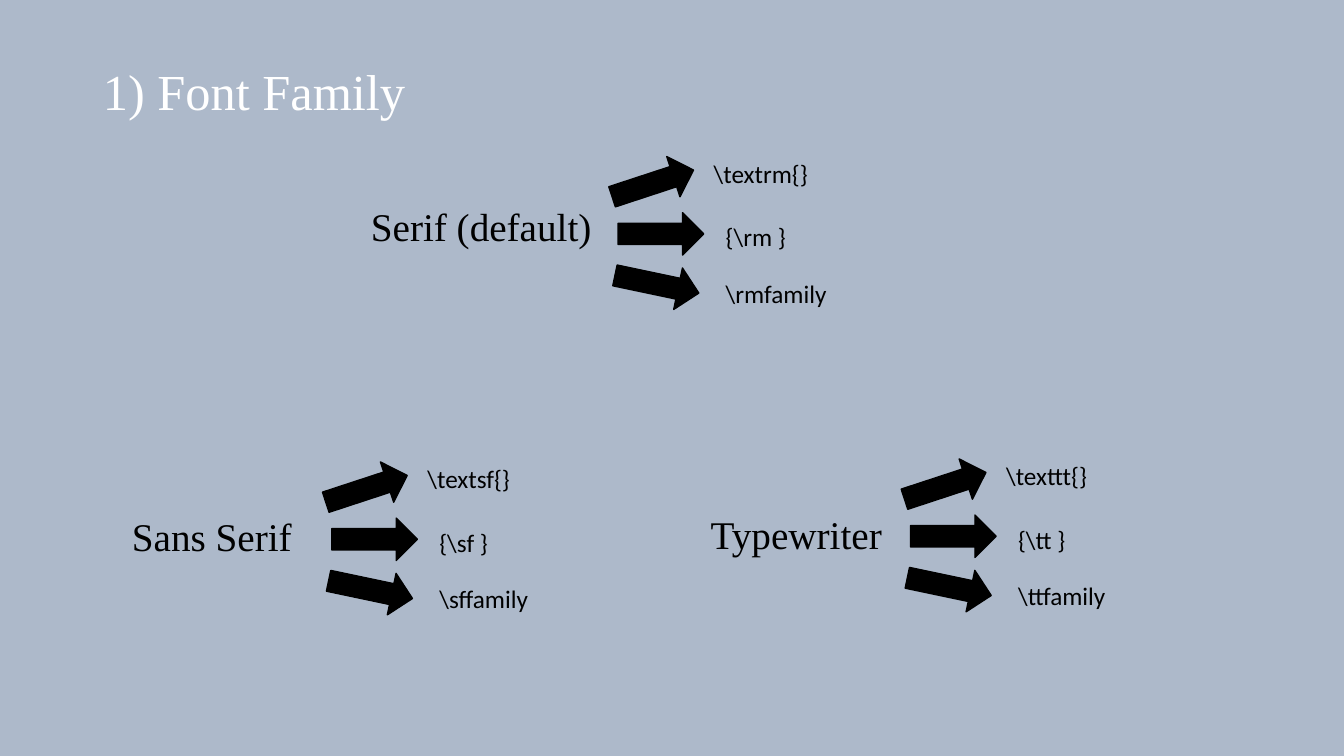
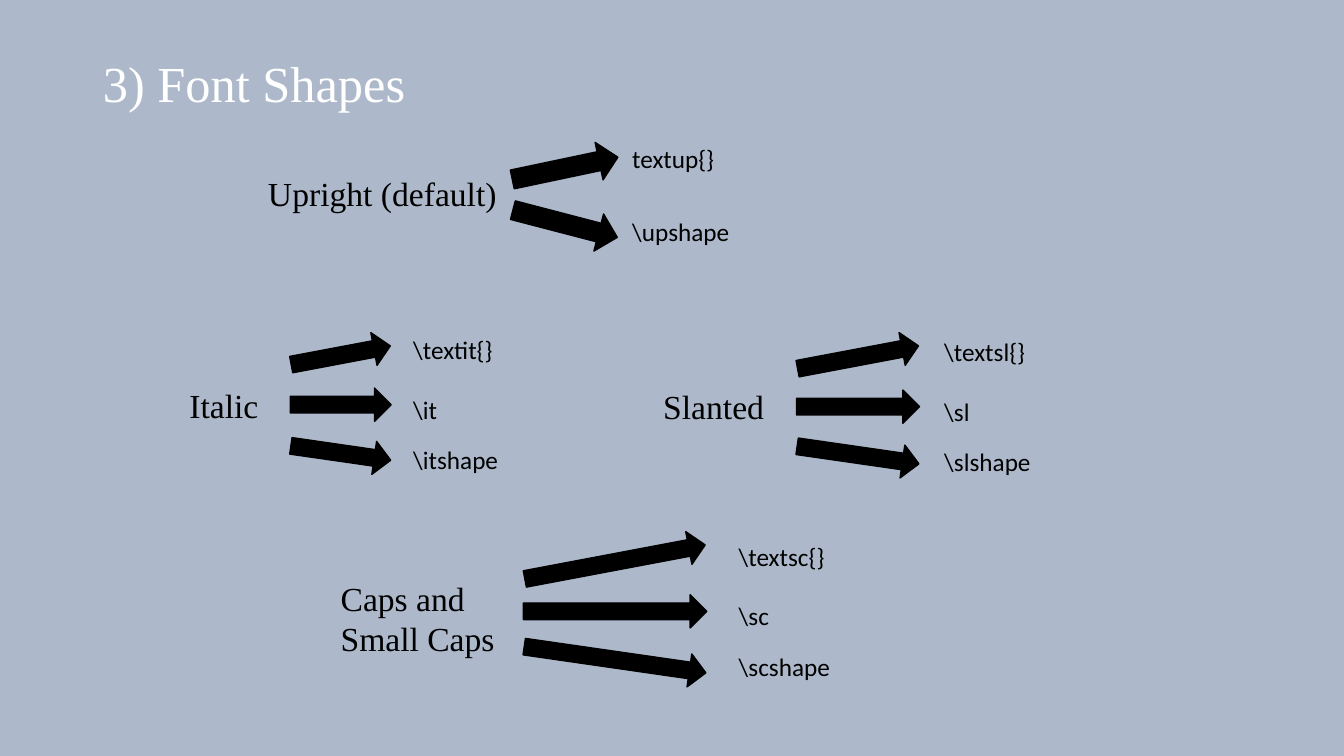
from dataclasses import dataclass

from pptx import Presentation
from pptx import util as u
from pptx.dml.color import RGBColor
from pptx.enum import shapes, text
from pptx.shapes.shapetree import GroupShapes
from pptx.slide import Slide
from pptx.text.text import TextFrame

BACKGROUND = "ADB9CA"
WHITE = "FFFFFF"
BLACK = "000000"
SERIF = "Times New Roman"
SANS = "Calibri"
TITLE_ONLY = 5


@dataclass(frozen=True)
class Branch:
    """An arrow offset and tilt, and the offset of its code.

    code_dx is a multiple of the arrow length; other offsets are inches.
    """
    arrow_dx: float
    arrow_dy: float
    tilt: float
    code_dx: float
    code_dy: float


@dataclass(frozen=True)
class FanStyle:
    """code_width is a multiple of the arrow length."""
    label_size: int
    arrow_height: float
    code_width: float
    branches: tuple[Branch, ...]


@dataclass(frozen=True)
class Fan:
    """A label whose arrows spread from (left, top) to its commands."""
    style: FanStyle
    label: str
    label_at: tuple[float, float, float, float]
    left: float
    top: float
    length: float
    codes: tuple[str, ...]


@dataclass(frozen=True)
class Topic:
    title: str
    title_top: float
    fans: tuple[Fan, ...]


FAMILY = FanStyle(28, 0.42, 2.94, (
    Branch(-0.08, -0.5, 341.8, 1, -0.59),
    Branch(0, 0, 0, 1.14, 0.04),
    Branch(-0.04, 0.5, 11.9, 1.14, 0.6),
))
SHAPE = FanStyle(24, 0.33, 1.95, (
    Branch(0, -0.49, 349.3, 1.12, -0.58),
    Branch(0, 0, 0, 1.12, 0.01),
    Branch(0, 0.48, 8.2, 1.12, 0.51),
))
SHAPE_PAIR = FanStyle(24, 0.38, 1.7, (
    Branch(0, -0.27, 348.1, 1.03, -0.38),
    Branch(0, 0.28, 14.6, 1.03, 0.35),
))

TOPICS = (
    Topic("1) Font Family", 0.55, (
        Fan(FAMILY, "Serif (default)", (3.58, 1.96, 2.42, 0.57),
            6.13, 2.11, 0.85, (r"\textrm{}", r"{\rm }", r"\rmfamily")),
        Fan(FAMILY, "Sans Serif", (1.21, 5.03, 1.86, 0.57),
            3.29, 5.14, 0.85, (r"\textsf{}", r"{\sf }", r"\sffamily")),
        Fan(FAMILY, "Typewriter", (6.95, 5.01, 1.92, 0.57),
            9.03, 5.11, 0.85, (r"\texttt{}", r"{\tt }", r"\ttfamily")),
    )),
    Topic("3) Font Shapes", 0.47, (
        Fan(SHAPE, "Italic", (1.78, 3.77, 0.98, 0.5),
            2.88, 3.85, 1, (r"\textit{}", r"\it", r"\itshape")),
        Fan(SHAPE, "Slanted", (6.48, 3.78, 1.2, 0.5),
            7.9, 3.87, 1.22, (r"\textsl{}", r"\sl", r"\slshape")),
        Fan(SHAPE_PAIR, "Upright (default)", (2.56, 1.67, 2.5, 0.5),
            5.07, 1.75, 1.07, ("textup{}", r"\upshape")),
        Fan(SHAPE, "Caps and Small Caps", (3.28, 5.68, 1.78, 0.91),
            5.19, 5.9, 1.82, (r"\textsc{}", r"\sc", r"\scshape")),
    )),
)


def color(value: str) -> RGBColor:
    return RGBColor.from_string(value)


def write(frame: TextFrame, words: str, size: int, font: str, ink: str) -> None:
    frame.text = words
    frame.word_wrap = True
    frame.vertical_anchor = text.MSO_ANCHOR.TOP
    para = frame.paragraphs[0]
    para.alignment = text.PP_ALIGN.LEFT
    span = para.runs[0]
    span.font.size = u.Pt(size)
    span.font.name = font
    span.font.color.rgb = color(ink)


def add_title(page: Slide, words: str, top: float) -> None:
    title = page.shapes.title
    title.left, title.top = u.Inches(0.92), u.Inches(top)
    title.width, title.height = u.Inches(8.83), u.Inches(0.71)
    write(title.text_frame, words, 36, SERIF, WHITE)
    title.text_frame.auto_size = text.MSO_AUTO_SIZE.NONE


def add_text(group: GroupShapes, words: str, at: tuple[float, float, float, float],
             size: int, font: str) -> None:
    box = group.add_textbox(*map(u.Inches, at))
    write(box.text_frame, words, size, font, BLACK)


def add_arrow(group: GroupShapes, at: tuple[float, float, float, float],
              tilt: float) -> None:
    arrow = group.add_shape(shapes.MSO_SHAPE.RIGHT_ARROW, *map(u.Inches, at))
    arrow.rotation = tilt
    arrow.shadow.inherit = False
    arrow.fill.solid()
    arrow.fill.fore_color.rgb = color(BLACK)
    arrow.line.color.rgb = color(BLACK)
    arrow.line.width = u.Pt(1)


def add_fan(page: Slide, fan: Fan) -> None:
    group = page.shapes.add_group_shape().shapes
    style = fan.style
    add_text(group, fan.label, fan.label_at, style.label_size, SERIF)
    for branch, code in zip(style.branches, fan.codes):
        add_arrow(group, (fan.left + branch.arrow_dx, fan.top + branch.arrow_dy,
                          fan.length, style.arrow_height), branch.tilt)
        add_text(group, code, (fan.left + branch.code_dx * fan.length,
                               fan.top + branch.code_dy,
                               style.code_width * fan.length, 0.4), 18, SANS)


def main() -> None:
    deck = Presentation()
    deck.slide_width, deck.slide_height = u.Inches(13.33), u.Inches(7.5)
    backdrop = deck.slide_master.background.fill
    backdrop.solid()
    backdrop.fore_color.rgb = color(BACKGROUND)
    for topic in TOPICS:
        page = deck.slides.add_slide(deck.slide_layouts[TITLE_ONLY])
        add_title(page, topic.title, topic.title_top)
        for fan in topic.fans:
            add_fan(page, fan)
    deck.save("out.pptx")


if __name__ == "__main__":
    main()
